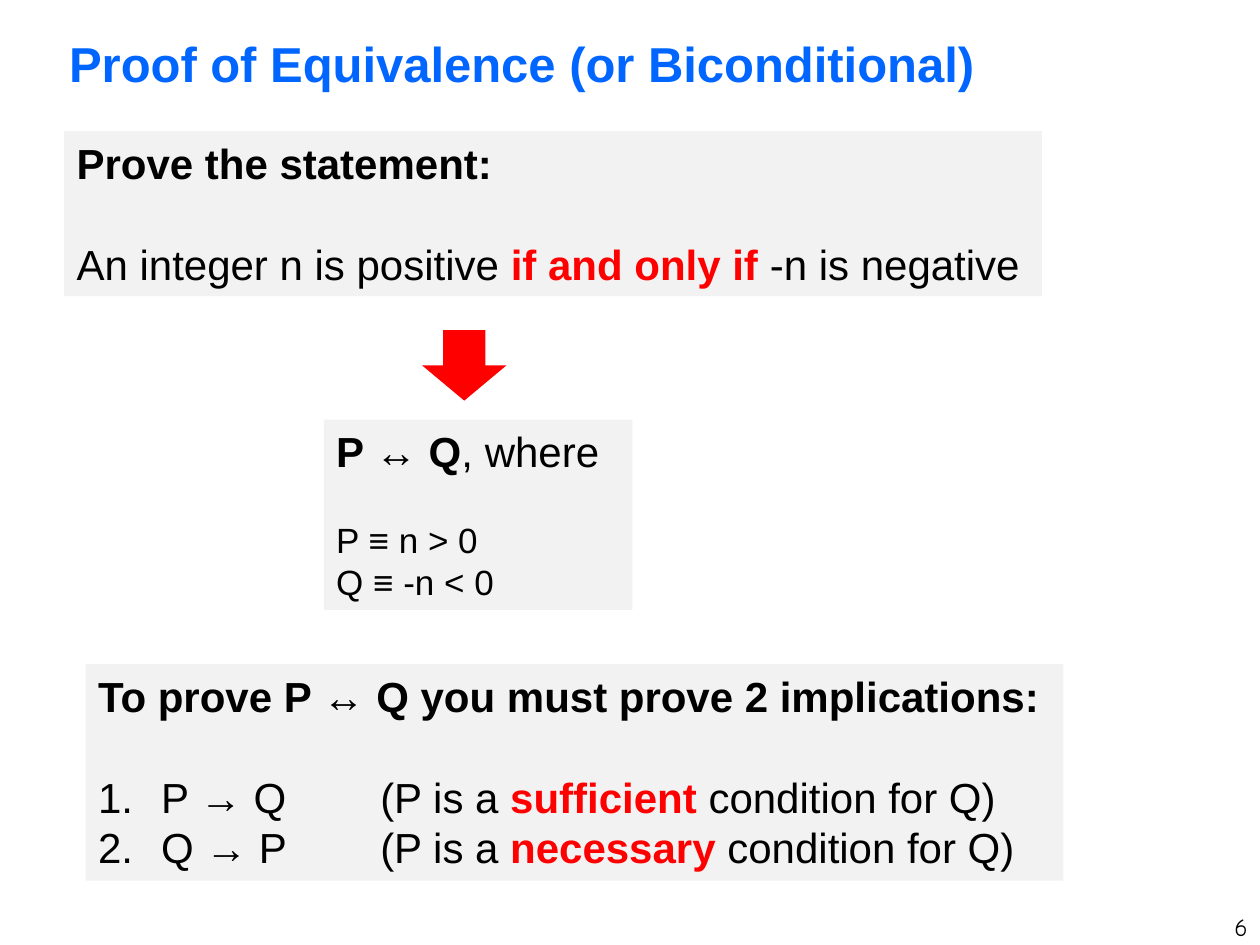
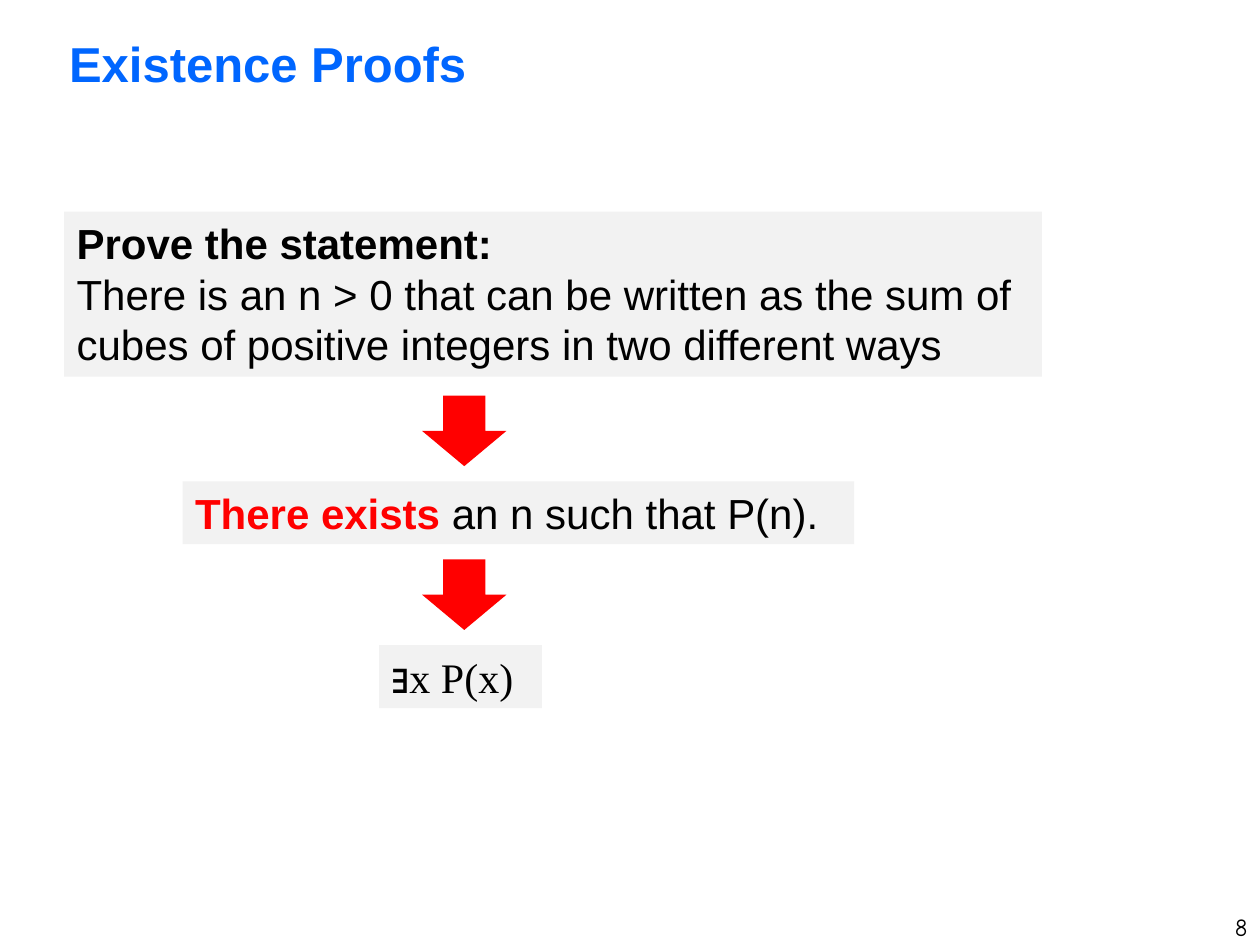
from dataclasses import dataclass

from pptx import Presentation
from pptx import util as u
from pptx.dml import color
from pptx.enum import shapes, text
from pptx.oxml import ns, xmlchemy


@dataclass(frozen=True)
class Theme:
    blue: str = "0066FF"
    red: str = "FF0000"
    black: str = "000000"
    panel: str = "F2F2F2"
    sans: str = "Arial"
    serif: str = "Times New Roman"
    comic: str = "Comic Neue"
    head: int = 28
    body: int = 24
    small: int = 20
    foot: int = 14
    lead: float = 1.2


T = Theme()
RED = {"bold": True, "hue": T.red}
BOLD = {"bold": True}


def style(obj, **vals):
    for key, val in vals.items():
        setattr(obj, key, val)


def rgb(hue):
    return color.RGBColor.from_string(hue)


# Text: a line is a list of strings or (string, format) pairs
def write(par, runs, size=T.body, face=T.sans, hue=T.black, bold=False):
    for item in runs:
        words, fmt = (item, {}) if isinstance(item, str) else item
        look = {"hue": hue, "bold": bold, **fmt}
        run = par.add_run()
        run.text = words
        run.font.color.rgb = rgb(look.pop("hue"))
        style(run.font, size=u.Pt(size), name=face, **look)


def number(par, tab):
    """Number a line, hang it by half an inch and set its tab stop."""
    prop = par._p.get_or_add_pPr()
    indent = u.Inches(0.5)
    prop.set("marL", str(indent))
    prop.set("indent", str(-indent))
    mark = xmlchemy.OxmlElement("a:buAutoNum")
    mark.set("type", "arabicPeriod")
    prop.append(mark)
    tabs = xmlchemy.OxmlElement("a:tabLst")
    stop = xmlchemy.OxmlElement("a:tab")
    stop.set("pos", str(u.Inches(tab)))
    stop.set("algn", "l")
    tabs.append(stop)
    prop.append(tabs)


def label(slide, box, words, align, anchor, **fmt):
    frame = slide.shapes.add_textbox(*map(u.Inches, box)).text_frame
    style(frame, word_wrap=True, vertical_anchor=anchor)
    par = frame.paragraphs[0]
    par.alignment = align
    write(par, [words], **fmt)


def solid(slide, kind, box, hue):
    shape = slide.shapes.add_shape(kind, *map(u.Inches, box))
    shape.shadow.inherit = False
    shape.fill.solid()
    shape.fill.fore_color.rgb = rgb(hue)
    shape.line.fill.background()
    return shape


# Grey panel: each line is (runs, options), where gap leaves one line free
def panel(slide, box, lines):
    frame = solid(slide, shapes.MSO_SHAPE.RECTANGLE, box, T.panel).text_frame
    style(frame, word_wrap=True, vertical_anchor=text.MSO_ANCHOR.TOP,
          auto_size=text.MSO_AUTO_SIZE.SHAPE_TO_FIT_TEXT)
    for pos, (runs, opts) in enumerate(lines):
        fmt = dict(opts)
        gap, tab = fmt.pop("gap", False), fmt.pop("tab", None)
        par = frame.add_paragraph() if pos else frame.paragraphs[0]
        pitch = u.Pt(T.lead * fmt.get("size", T.body))
        style(par, alignment=text.PP_ALIGN.LEFT, line_spacing=pitch,
              space_before=pitch if gap else u.Pt(0))
        if tab:
            number(par, tab)
        write(par, runs, **fmt)


def arrow(slide, top):
    solid(slide, shapes.MSO_SHAPE.DOWN_ARROW, (3.35, top, 0.67, 0.56), T.red)


# Title and page number shared by the slides
def page(deck, title, num):
    slide = deck.slides.add_slide(deck.slide_layouts[6])
    label(slide, (0.45, 0.16, 9.32, 0.68), title, text.PP_ALIGN.LEFT,
          text.MSO_ANCHOR.MIDDLE, size=T.head, hue=T.blue, bold=True)
    label(slide, (7.92, 7.19, 2.08, 0.25), num, text.PP_ALIGN.RIGHT,
          text.MSO_ANCHOR.TOP, size=T.foot, face=T.comic)
    return slide


def equivalence(deck):
    slide = page(deck, "Proof of Equivalence (or Biconditional)", "6")
    # Statement
    panel(slide, (0.51, 1.04, 7.76, 1.31), [
        (["Prove the statement:"], BOLD),
        (["An integer n is positive ", ("if and only if ", RED),
          "-n is negative"], {"gap": True})])
    arrow(slide, 2.62)
    # Formal version
    panel(slide, (2.57, 3.33, 2.45, 1.51), [
        ([("P ↔ Q", BOLD), ", where"], {}),
        (["P ≡ n > 0"], {"size": T.small, "gap": True}),
        (["Q ≡ -n < 0"], {"size": T.small})])
    # Two implications
    cases = [("P → Q", "sufficient"), ("Q → P", "necessary")]
    panel(slide, (0.68, 5.27, 7.76, 1.72), [
        (["To prove P ↔ Q you must prove 2 implications:"], BOLD),
        *(([f"{rule}\t(P is a ", (kind, RED), " condition for Q)"],
           {"tab": 2.24, "gap": pos == 0})
          for pos, (rule, kind) in enumerate(cases))])


def existence(deck):
    slide = page(deck, "Existence Proofs", "8")
    # Statement, wording and formula, joined by arrows
    panel(slide, (0.51, 1.68, 7.76, 1.31), [
        (["Prove the statement:"], BOLD),
        (["There is an n > 0 that can be written as the sum of cubes of "
          "positive integers in two different ways"], {})])
    arrow(slide, 3.14)
    panel(slide, (1.45, 3.82, 5.33, 0.5), [
        ([("There exists", RED), " an n such that P(n)."], {})])
    arrow(slide, 4.44)
    panel(slide, (3.01, 5.12, 1.29, 0.5), [
        (["∃x P(x)"], {"face": T.serif})])


def main():
    deck = Presentation()
    style(deck, slide_width=u.Inches(10), slide_height=u.Inches(7.5))
    equivalence(deck)
    existence(deck)
    deck.save("out.pptx")


if __name__ == "__main__":
    main()
